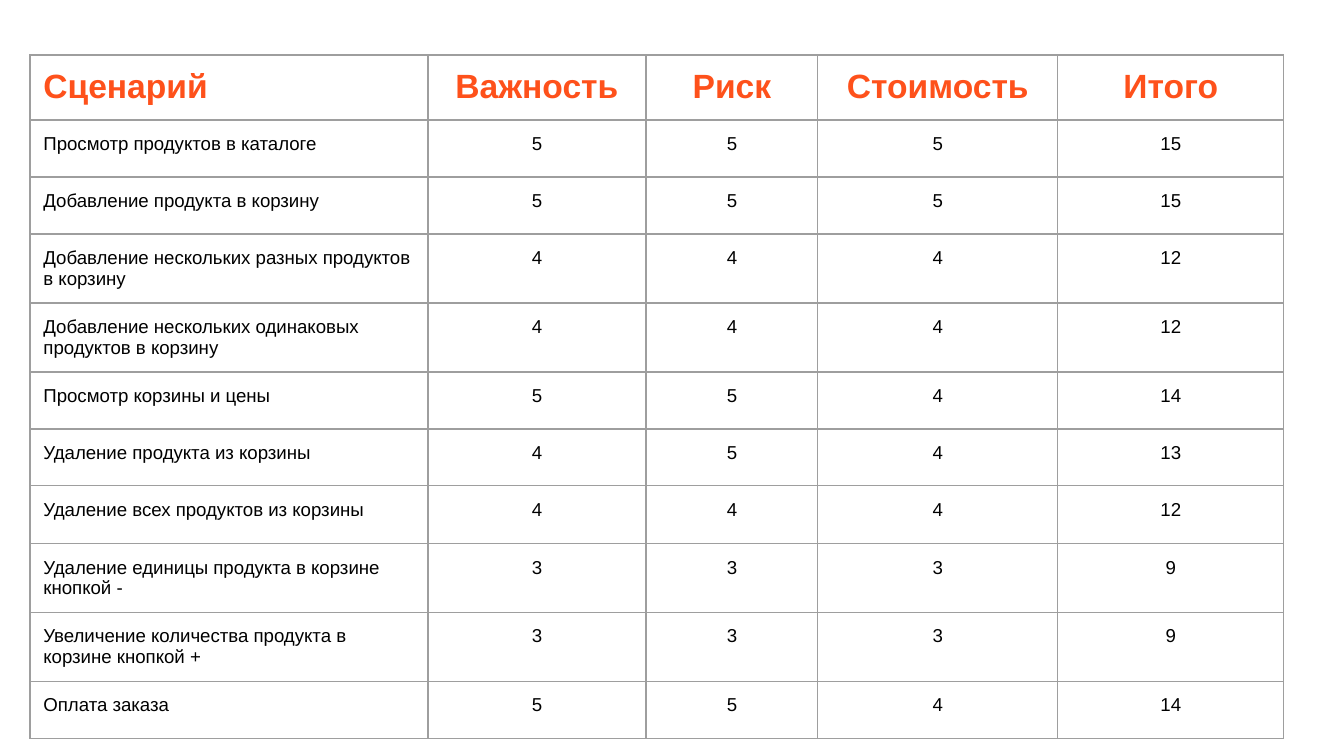
"""Build a slide with a table that ranks shop scenarios by score."""
import pptx
import pptx.util
import pptx.dml.color
import pptx.enum.text
import pptx.oxml
import pptx.oxml.ns
from lxml import etree

HEAD = ["Сценарий", "Важность", "Риск", "Стоимость", "Итого"]
CASES = [
    ("Просмотр продуктов в каталоге", 5, 5, 5),
    ("Добавление продукта в корзину", 5, 5, 5),
    ("Добавление нескольких разных продуктов в корзину", 4, 4, 4),
    ("Добавление нескольких одинаковых продуктов в корзину", 4, 4, 4),
    ("Просмотр корзины и цены", 5, 5, 4),
    ("Удаление продукта из корзины", 4, 5, 4),
    ("Удаление всех продуктов из корзины", 4, 4, 4),
    ("Удаление единицы продукта в корзине кнопкой -", 3, 3, 3),
    ("Увеличение количества продукта в корзине кнопкой +", 3, 3, 3),
    ("Оплата заказа", 5, 5, 4),
]
COLORS = {"head": "FE511B", "text": "000000", "line": "9E9E9E"}
WIDTHS = [398, 218, 172, 240, 226]
HEIGHTS = [65, 57, 57, 69, 69, 57, 57, 58, 68, 69, 57]
LEFT, TOP = 30, 55
INSET = pptx.util.Inches(0.1)
SCALE = 914400 / 134.4


def px(count):
    return pptx.util.Emu(round(count * SCALE))


def border(cell):
    props = cell._tc.get_or_add_tcPr()
    for place, side in enumerate(("lnL", "lnR", "lnT", "lnB")):
        line = etree.Element(pptx.oxml.ns.qn("a:" + side), w=str(pptx.util.Pt(0.75)))
        fill = etree.SubElement(line, pptx.oxml.ns.qn("a:solidFill"))
        etree.SubElement(fill, pptx.oxml.ns.qn("a:srgbClr"), val=COLORS["line"])
        props.insert(place, line)


def write(cell, text, head, center):
    cell.margin_left = cell.margin_right = INSET
    cell.margin_top = cell.margin_bottom = INSET
    cell.fill.background()
    border(cell)
    cell.text_frame.text = text
    para = cell.text_frame.paragraphs[0]
    align = pptx.enum.text.PP_ALIGN
    para.alignment = align.CENTER if center else align.LEFT
    font = para.runs[0].font
    font.name = "Arial"
    font.size = pptx.util.Pt(18 if head else 10)
    font.bold = head
    color = COLORS["head" if head else "text"]
    font.color.rgb = pptx.dml.color.RGBColor.from_string(color)


def main():
    deck = pptx.Presentation()
    deck.slide_width, deck.slide_height = px(1344), px(756)
    slide = deck.slides.add_slide(deck.slide_layouts[6])
    rows = [HEAD] + [[name, *marks, sum(marks)] for name, *marks in CASES]
    frame = slide.shapes.add_table(
        len(rows), len(HEAD), px(LEFT), px(TOP), px(sum(WIDTHS)), px(sum(HEIGHTS))
    )
    table = frame.table
    table.first_row = table.horz_banding = False
    for column, width in zip(table.columns, WIDTHS):
        column.width = px(width)
    for row, height in zip(table.rows, HEIGHTS):
        row.height = px(height)
    for r, row in enumerate(rows):
        for c, value in enumerate(row):
            write(table.cell(r, c), str(value), r == 0, c > 0)
    deck.save("out.pptx")


if __name__ == "__main__":
    main()
